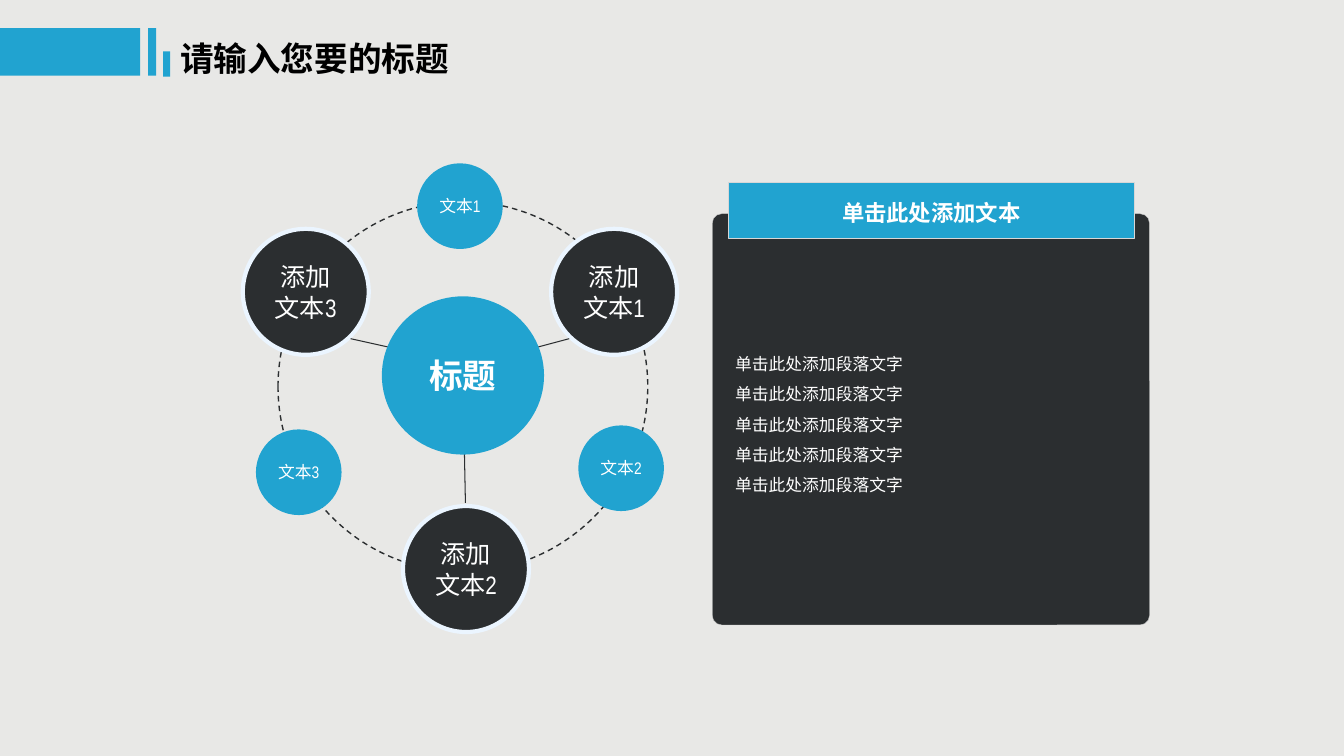
"""Build a slide with a ring of circles beside a text panel."""
from pptx import Presentation
from pptx.dml.color import RGBColor
from pptx.enum.dml import MSO_LINE
from pptx.enum.shapes import MSO_CONNECTOR, MSO_SHAPE
from pptx.enum.text import MSO_ANCHOR, PP_ALIGN
from pptx.oxml.ns import qn
from pptx.util import Inches, Pt
from lxml.etree import SubElement

BLUE = RGBColor(0x21, 0xA3, 0xD0)
DARK = RGBColor(0x2B, 0x2E, 0x30)
PALE = RGBColor(0xEB, 0xF5, 0xFF)
GREY = RGBColor(0xD7, 0xD7, 0xD7)
BACK = RGBColor(0xE8, 0xE8, 0xE6)
WHITE = RGBColor(0xFF, 0xFF, 0xFF)
BLACK = RGBColor(0, 0, 0)
SANS = "Noto Sans CJK SC"
NARROW = "Arial Narrow"

TITLE = "请输入您要的标题"
HEAD = "单击此处添加文本"
BODY = ["单击此处添加段落文字"] * 5
HUB = "标题"
BARS = [(0, 0.28, 1.39, 0.47), (1.47, 0.28, 0.08, 0.47), (1.62, 0.51, 0.07, 0.25)]
LARGE = [("添加文本3", 2.41, 2.27), ("添加文本1", 5.47, 2.27), ("添加文本2", 4, 5.02)]
SMALL = [("文本1", 4.14, 1.62), ("文本2", 5.74, 4.22), ("文本3", 2.54, 4.26)]
SPOKES = [(4.62, 4.99, 4.61, 4.5), (5.65, 3.36, 5.2, 3.48), (3.48, 3.36, 4.02, 3.48)]

deck = Presentation()
deck.slide_width, deck.slide_height = Inches(13.34), Inches(7.5)
slide = deck.slides.add_slide(deck.slide_layouts[6])
slide.background.fill.solid()
slide.background.fill.fore_color.rgb = BACK


def draw(kind, box, fill=None, line=None, width=1):
    """Add a preset shape with its fill and outline."""
    shape = slide.shapes.add_shape(kind, *map(Inches, box))
    shape.shadow.inherit = False
    if fill is None:
        shape.fill.background()
    else:
        shape.fill.solid()
        shape.fill.fore_color.rgb = fill
    if line is None:
        shape.line.fill.background()
    else:
        shape.line.color.rgb = line
        shape.line.width = Pt(width)
    return shape


def write(shape, text, size, face, color=WHITE, bold=False,
          align=PP_ALIGN.CENTER, space=None, wrap=True):
    """Put formatted text into a shape."""
    frame = shape.text_frame
    frame.text = text
    frame.word_wrap = wrap
    for para in frame.paragraphs:
        para.alignment = align
        if space:
            para.line_spacing = space
        for run in para.runs:
            font = run.font
            font.name, font.size, font.bold = face, Pt(size), bold
            font.color.rgb = color


for bar in BARS:
    draw(MSO_SHAPE.RECTANGLE, bar, BLUE)
title = slide.shapes.add_textbox(*map(Inches, (1.69, 0.33, 3.01, 0.5)))
write(title, TITLE, 24, SANS, BLACK, True, PP_ALIGN.LEFT)

panel = draw(MSO_SHAPE.ROUNDED_RECTANGLE, (7.07, 2.12, 4.34, 4.08), DARK, GREY, 0.25)
panel.adjustments[0] = 0.023
panel.text_frame.margin_left = Inches(0.2)
panel.text_frame.vertical_anchor = MSO_ANCHOR.MIDDLE
write(panel, "\n".join(BODY), 12, SANS, align=PP_ALIGN.LEFT, space=1.5)

ring = draw(MSO_SHAPE.OVAL, (2.76, 2, 3.67, 3.67), line=DARK)
ring.line.dash_style = MSO_LINE.DASH
for text, left, top in LARGE:
    disc = draw(MSO_SHAPE.OVAL, (left, top, 1.25, 1.25), DARK, PALE, 3)
    write(disc, text, 18, NARROW)
for text, left, top in SMALL:
    disc = draw(MSO_SHAPE.OVAL, (left, top, 0.85, 0.85), BLUE)
    write(disc, text, 12, NARROW, wrap=False)

for ends in SPOKES:
    spoke = slide.shapes.add_connector(MSO_CONNECTOR.STRAIGHT, *map(Inches, ends))
    spoke.line.color.rgb = DARK
    spoke.line.width = Pt(0.75)
    SubElement(spoke._element.spPr, qn("a:effectLst"))

head = draw(MSO_SHAPE.ROUNDED_RECTANGLE, (7.23, 1.81, 4.03, 0.55), BLUE, GREY, 0.25)
head.adjustments[0] = 0
write(head, HEAD, 16, SANS, bold=True, space=1.2)
hub = draw(MSO_SHAPE.OVAL, (3.79, 2.94, 1.61, 1.57), BLUE)
write(hub, HUB, 24, NARROW, bold=True, wrap=False)

deck.save("out.pptx")
